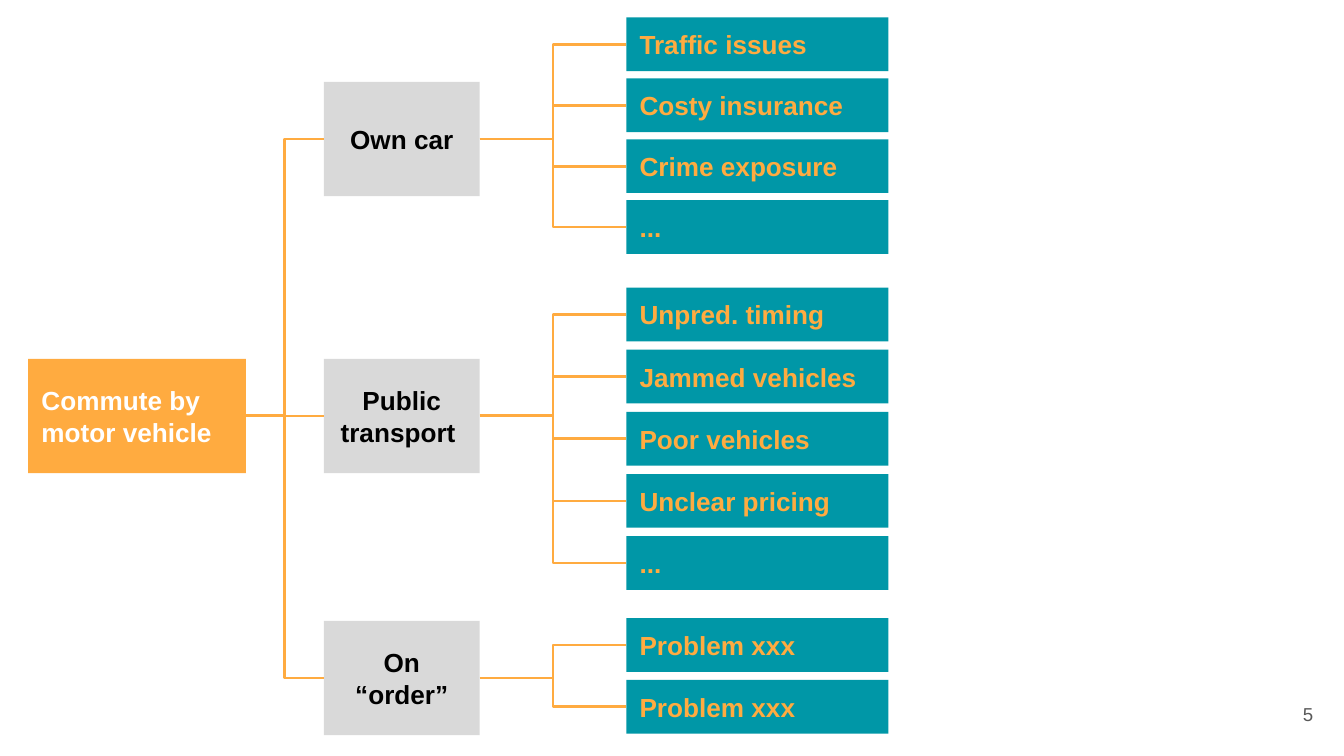
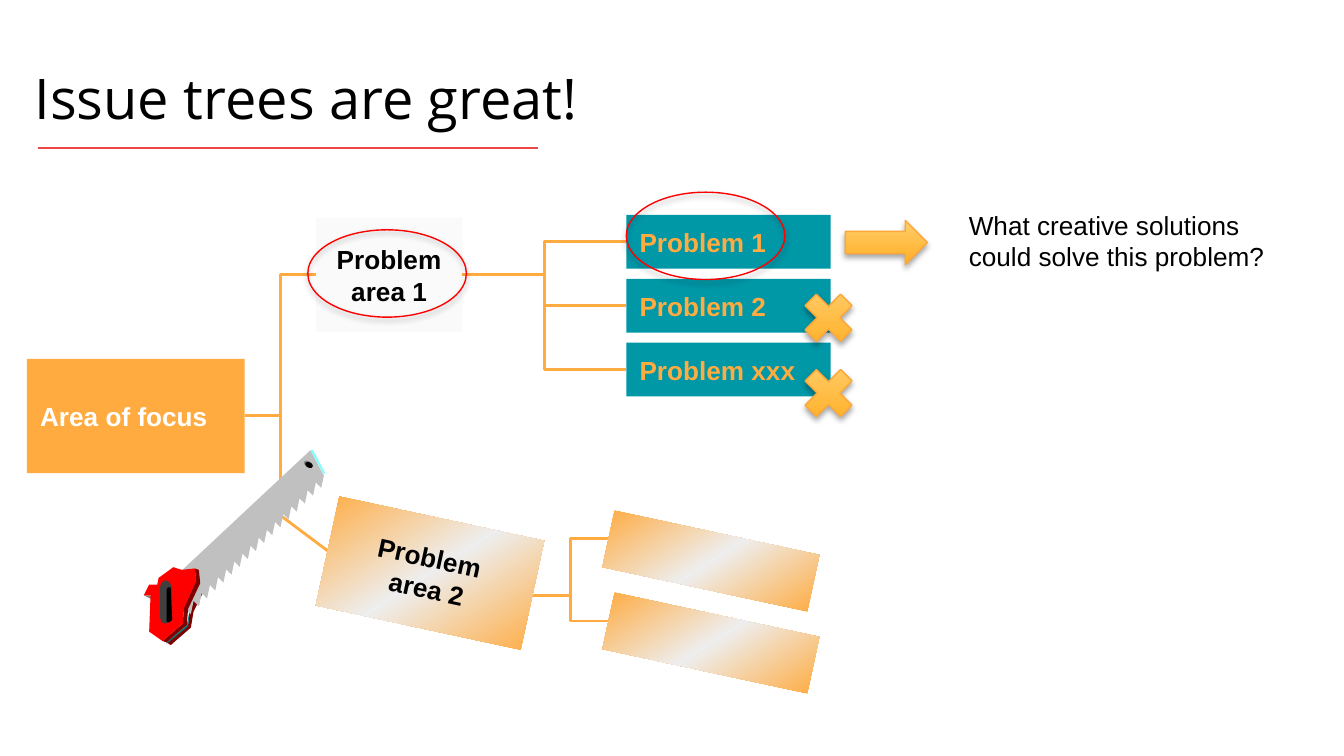
from copy import deepcopy

from pptx import Presentation
from pptx.dml.color import RGBColor
from pptx.enum.shapes import MSO_CONNECTOR, MSO_SHAPE
from pptx.enum.text import MSO_ANCHOR, PP_ALIGN
from pptx.oxml import parse_xml
from pptx.oxml.ns import nsdecls
from pptx.util import Inches, Pt

ORANGE = RGBColor(0xFF, 0xAB, 0x40)
TEAL = RGBColor(0x00, 0x97, 0xA7)
GRAY = RGBColor(0xD9, 0xD9, 0xD9)
PALE = RGBColor(0xFA, 0xFA, 0xFA)
SILVER = RGBColor(0xEE, 0xEE, 0xEE)
WHITE = RGBColor(0xFF, 0xFF, 0xFF)
BLACK = RGBColor(0x00, 0x00, 0x00)
NUMBER_GRAY = RGBColor(0x59, 0x59, 0x59)
TITLE_RED = RGBColor(0xEF, 0x47, 0x47)
RED = RGBColor(0xFF, 0x00, 0x00)
AMBER = RGBColor(0xFF, 0xAE, 0x23)
LIGHT_AMBER = RGBColor(0xFF, 0xCE, 0x6C)
AMBER_LINE = RGBColor(0xFD, 0xA7, 0x39)
MAROON = RGBColor(0x80, 0x00, 0x00)
DARK_TEAL = RGBColor(0x00, 0x80, 0x80)
STEEL = RGBColor(0xC0, 0xC0, 0xC0)
CYAN = RGBColor(0x80, 0xFF, 0xFF)
MIDDLE_GRAY = RGBColor(0x80, 0x80, 0x80)
DARK_GRAY = RGBColor(0x40, 0x40, 0x40)


def add_text(slide, text, place, fill=None, color=BLACK, align=PP_ALIGN.LEFT,
             size=14, font="Arial", anchor=MSO_ANCHOR.MIDDLE):
    box = [Inches(length) for length in place]
    if fill is None:
        shape = slide.shapes.add_textbox(*box)
    else:
        shape = slide.shapes.add_shape(MSO_SHAPE.RECTANGLE, *box)
        shape.shadow.inherit = False
        shape.fill.solid()
        shape.fill.fore_color.rgb = fill
        shape.line.fill.background()
    frame = shape.text_frame
    frame.text = text
    frame.word_wrap = True
    frame.vertical_anchor = anchor
    for paragraph in frame.paragraphs:
        paragraph.alignment = align
        for run in paragraph.runs:
            run.font.name = font
            run.font.size = Pt(size)
            run.font.bold = fill is not None
            run.font.color.rgb = color
    return shape


def add_line(slide, kind, start=(0, 0), end=(0, 0), color=ORANGE, width=1.5):
    points = [Inches(length) for length in (*start, *end)]
    connector = slide.shapes.add_connector(kind, *points)
    connector.line.color.rgb = color
    connector.line.width = Pt(width)
    connector._element.spPr.append(parse_xml(f"<a:effectLst {nsdecls('a')}/>"))
    return connector


presentation = Presentation()
presentation.slide_width = Inches(10)
presentation.slide_height = presentation.slide_width * 9 // 16
blank = presentation.slide_layouts[6]
commute_slide = presentation.slides.add_slide(blank)
method_slide = presentation.slides.add_slide(blank)

LEAF_LEFT, LEAF_HEIGHT, BRANCH_HEIGHT = 4.66, 0.4, 0.85
trees = [
    (commute_slide, "Commute by motor vehicle", 0.21, 2.41, 1.16, GRAY, 1.95, [
        ("Own car", 0.61, 0.13, 1.49,
         ["Traffic issues", "Costy insurance", "Crime exposure", "..."]),
        ("Public transport ", 2.67, 2.14, 3.99,
         ["Unpred. timing", "Jammed vehicles", "Poor vehicles", "Unclear pricing", "..."]),
        ("On “order”", 4.62, 4.6, 5.06, ["Problem xxx", "Problem xxx"]),
    ]),
    (method_slide, "Area of focus", 0.2, 2.35, 1.09, PALE, 1.52, [
        ("Problem area 1", 1.62, 1.6, 2.55, ["Problem 1", "Problem 2", "Problem xxx"]),
    ]),
]
for slide, focus, focus_left, branch_left, branch_width, branch_fill, leaf_width, branches in trees:
    root = add_text(slide, focus, (focus_left, 2.67, 1.62, BRANCH_HEIGHT), ORANGE, WHITE)
    links = []
    for name, branch_top, first_top, last_top, issues in branches:
        branch = add_text(slide, name, (branch_left, branch_top, branch_width, BRANCH_HEIGHT),
                          branch_fill, align=PP_ALIGN.CENTER)
        links.append((root, branch))
        pitch = (last_top - first_top) / (len(issues) - 1)
        for index, issue in enumerate(issues):
            place = (LEAF_LEFT, first_top + index * pitch, leaf_width, LEAF_HEIGHT)
            links.append((branch, add_text(slide, issue, place, TEAL, ORANGE)))
    for parent, child in links:
        connector = add_line(slide, MSO_CONNECTOR.ELBOW)
        connector.begin_connect(parent, 3)
        connector.end_connect(child, 1)

add_text(commute_slide, "5", (9.27, 5.1, 0.6, 0.43), color=NUMBER_GRAY,
         align=PP_ALIGN.RIGHT, size=10)

title = add_text(method_slide, "Issue trees are great!", (0.16, 0.3, 9.17, 0.82),
                 size=30, font="Open Sans", anchor=MSO_ANCHOR.TOP)
title.text_frame.margin_top = title.text_frame.margin_bottom = Inches(0.1)
title.text_frame.paragraphs[0].line_spacing = 1.15
add_line(method_slide, MSO_CONNECTOR.STRAIGHT, (0.28, 1.1), (4, 1.1), TITLE_RED, 0.75)
add_text(method_slide, "What creative solutions could solve this problem?",
         (7.11, 1.51, 2.61, 0.56), anchor=MSO_ANCHOR.TOP)

add_line(method_slide, MSO_CONNECTOR.STRAIGHT, (2.48, 4.13), (2.08, 3.83))
add_line(method_slide, MSO_CONNECTOR.STRAIGHT, (2.09, 3.04), (2.09, 3.83))
for leaf_middle in (4.01, 4.62):
    add_line(method_slide, MSO_CONNECTOR.ELBOW, (3.96, 4.43), (4.53, leaf_middle))
for text, place in [
    ("", (4.51, 3.96, 1.56, 0.43)),
    ("", (4.51, 4.57, 1.56, 0.43)),
    ("Problem \narea 2", (2.42, 3.85, 1.56, 0.83)),
]:
    fallen_box = add_text(method_slide, text, place, ORANGE, align=PP_ALIGN.CENTER)
    fallen_box.rotation = 12.2
    fallen_box.fill.gradient()
    fallen_box.fill.gradient_angle = 315
    first_stop = fallen_box._element.spPr.find(".//{*}gs")
    first_stop.addnext(deepcopy(first_stop))
    for stop, position, color in zip(fallen_box.fill.gradient_stops, (0, 0.5, 1),
                                     (ORANGE, SILVER, ORANGE)):
        stop.position = position
        stop.color.rgb = color

blade = [(2.31, 3.35), (2.41, 3.54)]
TEETH = 16
for tooth in range(TEETH):
    tip_x, tip_y = 2.39 - 0.97 * tooth / TEETH, 3.63 + 0.94 * tooth / TEETH
    blade += [(tip_x, tip_y), (tip_x - 0.04, tip_y - 0.04)]
blade += [(1.42, 4.57), (1.31, 4.47), (1.24, 4.35)]
saw_parts = [
    (MAROON, [(1.49, 4.25), (1.52, 4.27), (1.53, 4.37), (1.44, 4.55), (1.42, 4.67),
              (1.27, 4.8), (1.24, 4.78), (1.4, 4.65), (1.41, 4.54), (1.43, 4.47), (1.5, 4.34)]),
    (DARK_TEAL, [(1.41, 4.56), (1.4, 4.66), (1.24, 4.79), (1.24, 4.78), (1.39, 4.65),
                 (1.41, 4.55)]),
    (STEEL, blade),
    (CYAN, [(2.31, 3.35), (2.33, 3.35), (2.42, 3.52), (2.41, 3.53)]),
    (MAROON, [(1.45, 4.23), (1.48, 4.24), (1.49, 4.34), (1.4, 4.53), (1.39, 4.65),
              (1.24, 4.78), (1.21, 4.77), (1.36, 4.64), (1.37, 4.52), (1.46, 4.32)]),
    (MIDDLE_GRAY, [(1.07, 4.43), (1.13, 4.46), (1.12, 4.43)]),
    (RED, [(1.45, 4.23), (1.35, 4.24), (1.29, 4.22), (1.18, 4.3), (1.17, 4.35), (1.11, 4.35),
           (1.07, 4.43), (1.12, 4.43), (1.11, 4.7), (1.21, 4.77), (1.36, 4.64), (1.37, 4.52),
           (1.46, 4.32)]),
    (DARK_GRAY, [(1.26, 4.33), (1.28, 4.37), (1.28, 4.62), (1.23, 4.64), (1.2, 4.63),
                 (1.19, 4.59), (1.19, 4.37), (1.2, 4.34), (1.22, 4.32), (1.24, 4.32)]),
    (BLACK, [(1.27, 4.37), (1.25, 4.37), (1.24, 4.39), (1.24, 4.63), (1.26, 4.63),
             (1.28, 4.61), (1.28, 4.59)]),
]
saw = method_slide.shapes.add_group_shape()
for color, outline in saw_parts:
    points = [(Inches(x), Inches(y)) for x, y in outline]
    builder = saw.shapes.build_freeform(*points[0])
    builder.add_line_segments(points[1:])
    part = builder.convert_to_shape()
    part.shadow.inherit = False
    part.fill.solid()
    part.fill.fore_color.rgb = color
    part.line.fill.background()
for color, left, top in [(MIDDLE_GRAY, 2.27, 3.42), (BLACK, 2.28, 3.43)]:
    hole = saw.shapes.add_shape(MSO_SHAPE.OVAL, Inches(left), Inches(top),
                                Inches(0.04), Inches(0.06))
    hole.rotation = 295.8
    hole.shadow.inherit = False
    hole.fill.solid()
    hole.fill.fore_color.rgb = color
    hole.line.fill.background()

for kind, place in [
    (MSO_SHAPE.MATH_MULTIPLY, (5.91, 2.11, 0.51, 0.51)),
    (MSO_SHAPE.MATH_MULTIPLY, (5.91, 2.67, 0.51, 0.51)),
    (MSO_SHAPE.OVAL, (2.29, 1.71, 1.18, 0.65)),
    (MSO_SHAPE.OVAL, (4.66, 1.43, 1.18, 0.65)),
    (MSO_SHAPE.RIGHT_ARROW, (6.29, 1.64, 0.61, 0.33)),
]:
    mark = method_slide.shapes.add_shape(kind, *[Inches(length) for length in place])
    mark.line.width = Pt(0.75)
    if kind == MSO_SHAPE.OVAL:
        mark.fill.background()
        mark.line.color.rgb = RED
    else:
        mark.fill.gradient()
        mark.fill.gradient_angle = 90
        for stop, color in zip(mark.fill.gradient_stops, (AMBER, LIGHT_AMBER)):
            stop.color.rgb = color
        mark.line.color.rgb = AMBER_LINE
    mark.shadow.inherit = False
    mark._element.spPr.find("{*}effectLst").append(parse_xml(
        f'<a:outerShdw {nsdecls("a")} blurRad="{Pt(3.1)}" dist="{Pt(1.8)}" dir="5400000" '
        'rotWithShape="0"><a:srgbClr val="000000"><a:alpha val="35000"/></a:srgbClr>'
        '</a:outerShdw>'))

presentation.save("out.pptx")
